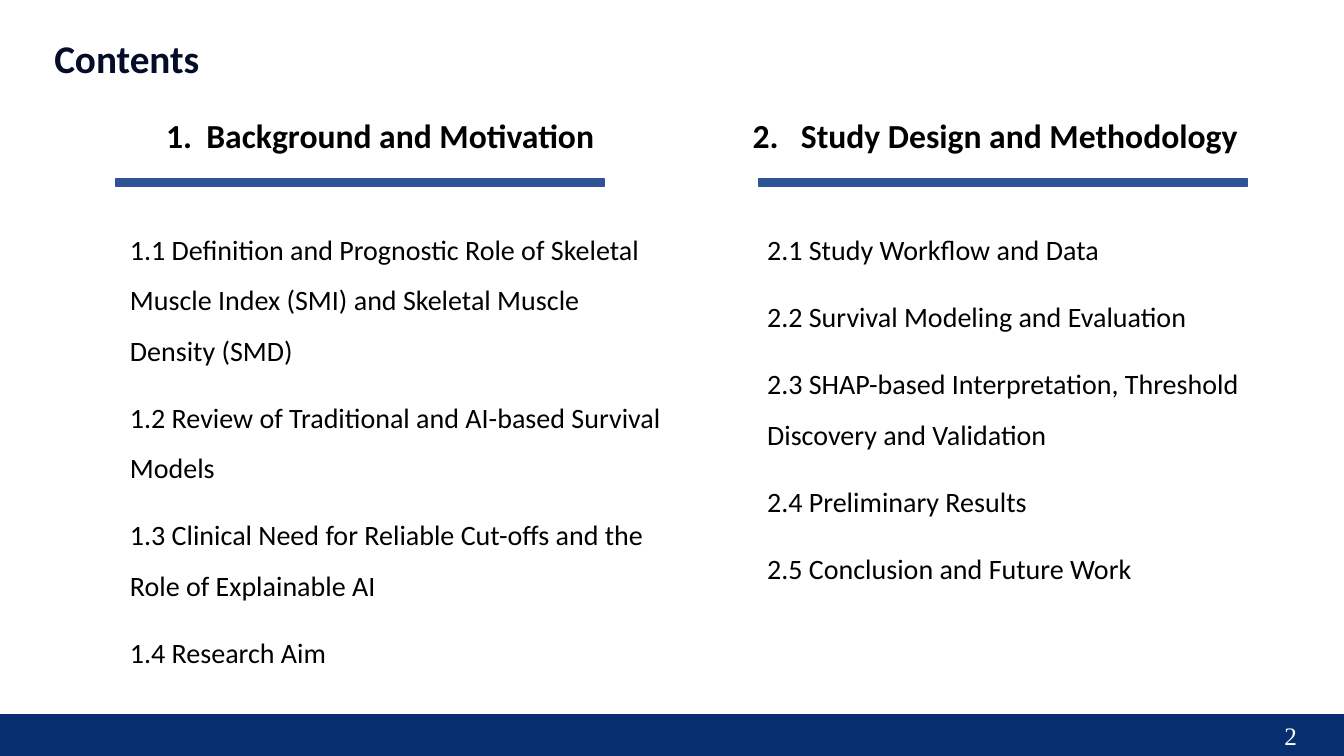
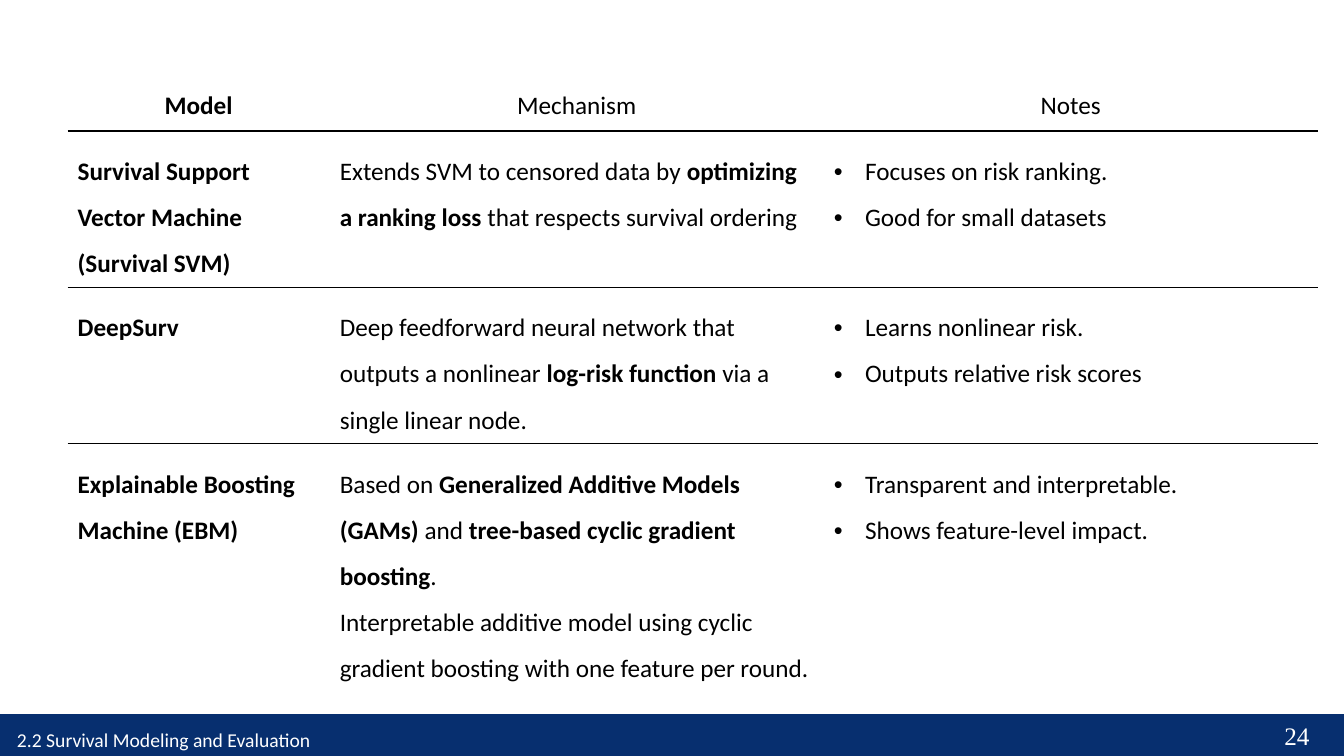
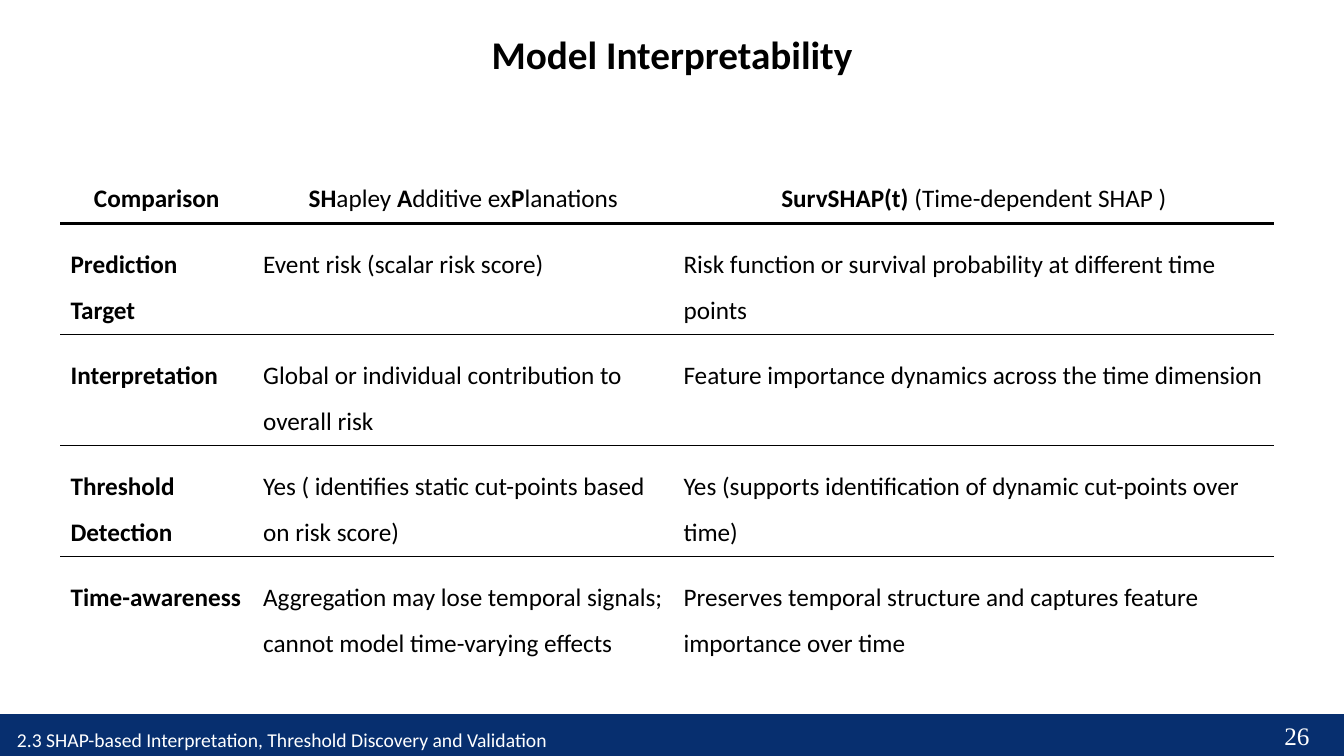
from lxml.etree import SubElement
from pptx import Presentation
from pptx.dml.color import RGBColor
from pptx.enum.shapes import MSO_SHAPE as SHAPE
from pptx.enum.text import PP_ALIGN as ALIGN
from pptx.oxml.ns import qn
from pptx.util import Inches, Pt

NAVY = RGBColor(0x07, 0x2F, 0x6F)
BLUE = RGBColor(0x2F, 0x54, 0x96)
INK = RGBColor(0x04, 0x0C, 0x28)
BLACK = RGBColor(0, 0, 0)
WHITE = RGBColor(0xFF, 0xFF, 0xFF)
FONT = "Calibri"
NUMBER_FONT = "Times New Roman"
WIDTH, HEIGHT = 13.33, 7.5
BAND_TOP, BAND_HEIGHT = 7.1, 0.4
LINE_HEIGHT = 0.45  # one table text line


def write(tf, text, size=18, color=BLACK, font=FONT, bold=False,
          align=ALIGN.LEFT, spacing=1.0, before=0, bullet=None, hang=0.0,
          left=0.0):
    """One paragraph per line; ** switches bold; bullet is a sign or a number."""
    tf.word_wrap = True
    for i, line in enumerate(text.split("\n")):
        p = tf.paragraphs[0] if i == 0 else tf.add_paragraph()
        if bullet:
            pPr = p._p.get_or_add_pPr()
            pPr.set("marL", str(Inches(left)))
            pPr.set("indent", str(-Inches(hang)))
            if isinstance(bullet, int):
                SubElement(pPr, qn("a:buFont"), typeface="+mj-lt")
                SubElement(pPr, qn("a:buAutoNum"), type="arabicPeriod",
                           startAt=str(bullet))
            else:
                SubElement(pPr, qn("a:buFont"), typeface="Arial")
                SubElement(pPr, qn("a:buChar"), char=bullet)
        p.alignment = align
        p.line_spacing = spacing
        if i:
            p.space_before = Pt(before)
        for j, part in enumerate(line.split("**")):
            if part:
                r = p.add_run()
                r.text = part
                r.font.name, r.font.size = font, Pt(size)
                r.font.bold = bold or j % 2 == 1
                r.font.color.rgb = color


def border(tcPr, side, weight):
    """Draw one cell edge in black, or none when weight is 0."""
    ln = SubElement(tcPr, qn(f"a:ln{side}"), w=str(Pt(weight)))
    if weight:
        fill = SubElement(ln, qn("a:solidFill"))
        SubElement(fill, qn("a:srgbClr"), val=str(BLACK))
    else:
        SubElement(ln, qn("a:noFill"))


class Deck:
    def __init__(self):
        self.prs = Presentation()
        self.prs.slide_width = Inches(WIDTH)
        self.prs.slide_height = Inches(HEIGHT)

    def slide(self, number, section=None):
        self.s = self.prs.slides.add_slide(self.prs.slide_layouts[6])
        self.bar(0, BAND_TOP, WIDTH, BAND_HEIGHT, NAVY, 2)
        self.text(12.64, BAND_TOP, 0.69, BAND_HEIGHT, str(number),
                  color=WHITE, font=NUMBER_FONT)
        if section:
            self.text(0.07, 7.06, 6.26, 0.42, section, size=14, color=WHITE,
                      spacing=1.5)

    def bar(self, x, y, w, h, color, weight):
        sp = self.s.shapes.add_shape(SHAPE.RECTANGLE, Inches(x), Inches(y),
                                     Inches(w), Inches(h))
        sp.shadow.inherit = False
        sp.fill.solid()
        sp.fill.fore_color.rgb = color
        sp.line.color.rgb = color
        sp.line.width = Pt(weight)

    def text(self, x, y, w, h, text, **style):
        sp = self.s.shapes.add_textbox(Inches(x), Inches(y), Inches(w), Inches(h))
        write(sp.text_frame, text, **style)

    def title(self, x, y, w, text, **style):
        self.text(x, y, w, 0.57, text, size=28, bold=True, **style)

    def table(self, x, y, widths, line_counts, rows, bullet_column=None):
        heights = [0.2 + LINE_HEIGHT * n for n in line_counts]
        tbl = self.s.shapes.add_table(
            len(rows), len(widths), Inches(x), Inches(y),
            Inches(sum(widths)), Inches(sum(heights))).table
        tbl.first_row = tbl.horz_banding = False
        for col, w in zip(tbl.columns, widths):
            col.width = Inches(w)
        for row, h in zip(tbl.rows, heights):
            row.height = Inches(h)
        # Rules lie between rows only, the one under the header is thick
        rules = [0, 2.25] + [1] * (len(rows) - 2) + [0]
        for i, row in enumerate(rows):
            for j, text in enumerate(row):
                cell = tbl.cell(i, j)
                cell.margin_left = cell.margin_right = Inches(0.1)
                cell.margin_top = cell.margin_bottom = Inches(0.1)
                tcPr = cell._tc.get_or_add_tcPr()
                for side, weight in zip("LRTB", (0, 0, rules[i], rules[i + 1])):
                    border(tcPr, side, weight)
                cell.fill.background()
                style = {"bold": j == 0, "spacing": 1.5}
                if i == 0:
                    style["align"] = ALIGN.CENTER
                elif j == bullet_column:
                    style.update(bullet="•", left=0.31, hang=0.31)
                write(cell.text_frame, text, **style)


def main():
    deck = Deck()

    # Contents
    deck.slide(2)
    deck.title(0.44, 0.29, 6.76, "Contents", color=INK)
    parts = [
        # heading left, number gap, rule left, list left, heading, list
        (0.69, 0.4, 1.15, 1.19, "Background and Motivation",
         "1.1 Definition and Prognostic Role of Skeletal Muscle Index (SMI) "
         "and Skeletal Muscle Density (SMD)\n"
         "1.2 Review of Traditional and AI-based Survival Models\n"
         "1.3 Clinical Need for Reliable Cut-offs and the Role of Explainable AI\n"
         "1.4 Research Aim"),
        (6.83, 0.48, 7.53, 7.51, "Study Design and Methodology",
         "2.1 Study Workflow and Data\n"
         "2.2 Survival Modeling and Evaluation\n"
         "2.3 SHAP-based Interpretation, Threshold Discovery and Validation\n"
         "2.4 Preliminary Results\n"
         "2.5 Conclusion and Future Work"),
    ]
    for n, (head_x, gap, rule_x, list_x, heading, items) in enumerate(parts, 1):
        deck.bar(rule_x, 1.77, 4.84, 0.08, BLUE, 1)
        deck.text(head_x, 1.09, 6.06, 0.5, heading, size=24, bold=True,
                  align=ALIGN.CENTER, bullet=n, left=0.5, hang=gap)
        deck.text(list_x, 2.09, 5.56, 4.8, items, size=20, spacing=1.5, before=12)

    # Survival models
    deck.slide(24, "2.2 Survival Modeling and Evaluation")
    deck.table(0.67, 0.65, [2.6, 4.9, 4.9], [1, 3, 3, 5], [
        ("Model", "Mechanism", "Notes"),
        ("Survival Support Vector Machine (Survival SVM)",
         "Extends SVM to censored data by **optimizing a ranking loss **"
         "that respects survival ordering",
         "Focuses on risk ranking.\nGood for small datasets"),
        ("DeepSurv",
         "Deep feedforward neural network that outputs a nonlinear "
         "**log-risk function **via a single linear node.",
         "Learns nonlinear risk.\nOutputs relative risk scores"),
        ("Explainable Boosting Machine (EBM)",
         "Based on **Generalized Additive Models (GAMs)** and "
         "**tree-based cyclic gradient boosting**.\n"
         "Interpretable additive model using cyclic gradient boosting "
         "with one feature per round.",
         "Transparent and interpretable.\nShows feature-level impact."),
    ], bullet_column=2)

    # Interpretability methods
    deck.slide(26, "2.3 SHAP-based Interpretation, Threshold Discovery and Validation")
    deck.title(3.39, 0.25, 6.55, "Model Interpretability", align=ALIGN.CENTER)
    deck.table(0.6, 1.57, [1.91, 4.17, 5.96], [1, 2, 2, 2, 2], [
        ("Comparison", "**SH**apley **A**dditive ex**P**lanations",
         "**SurvSHAP(t) **(Time-dependent SHAP )"),
        ("Prediction Target", "Event risk (scalar risk score)",
         "Risk function or survival probability at different time points"),
        ("Interpretation", "Global or individual contribution to overall risk",
         "Feature importance dynamics across the time dimension"),
        ("Threshold Detection",
         "Yes ( identifies static cut-points based on risk score)",
         "Yes (supports identification of dynamic cut-points over time)"),
        ("Time-awareness",
         "Aggregation may lose temporal signals; cannot model time-varying effects",
         "Preserves temporal structure and captures feature importance over time"),
    ])

    deck.prs.save("out.pptx")


if __name__ == "__main__":
    main()
